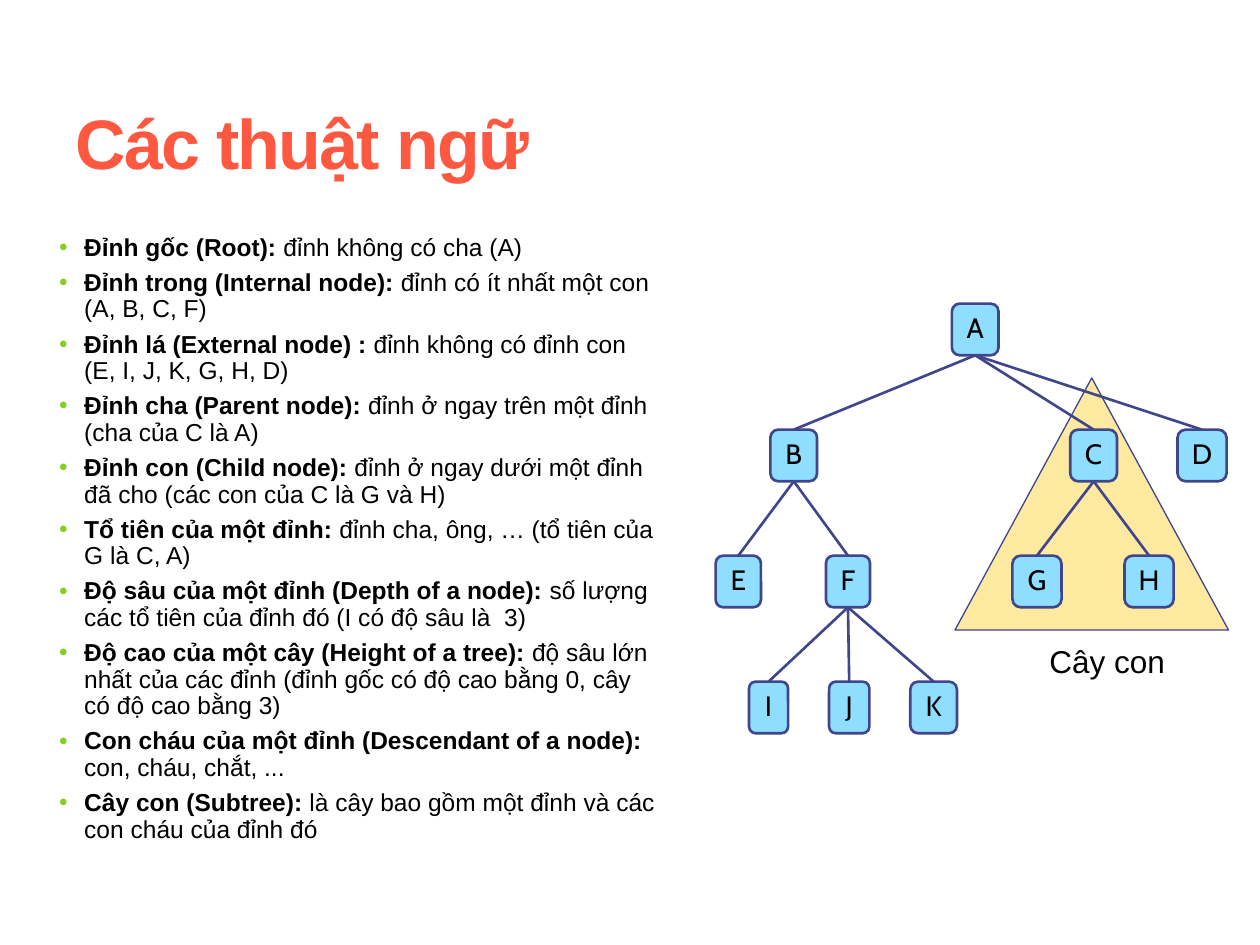
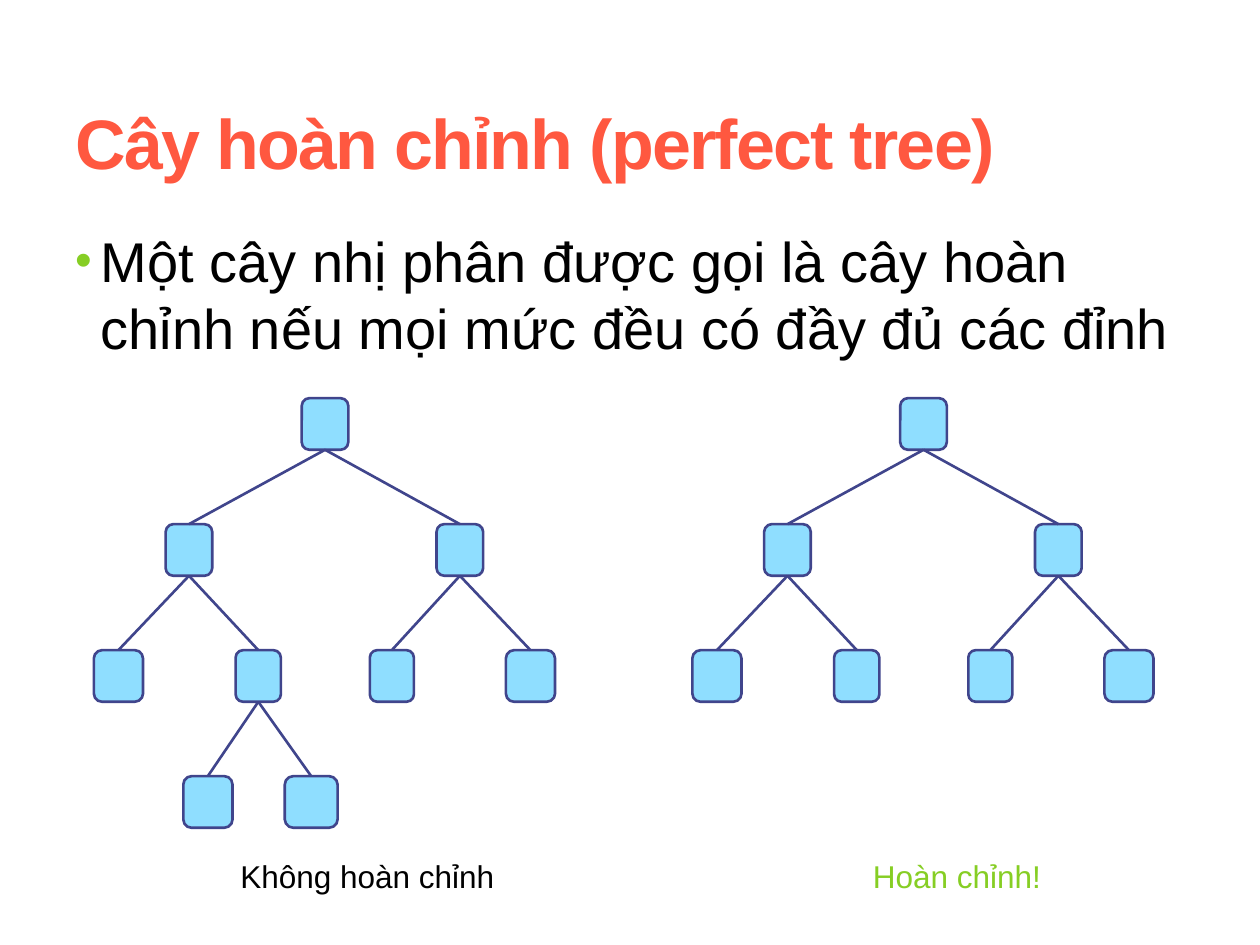
from lxml.etree import SubElement as Sub
from pptx import Presentation
from pptx.dml.color import RGBColor
from pptx.enum.shapes import MSO_CONNECTOR as Conn, MSO_SHAPE as Geo
from pptx.enum.text import MSO_ANCHOR as Anchor, MSO_AUTO_SIZE as Fit, PP_ALIGN as Align
from pptx.oxml.ns import qn
from pptx.util import Inches, Pt

# Shared look
RED, GREEN, BLACK = "FF5840", "86CE24", "000000"
SKY, NAVY, SAND = "8FDEFF", "40458C", "FDE99F"
SANS, ROUND = "Arial", "Cabin"

# The slide is a grid of 10 columns by 7.5 rows
COLS, ROWS = 10, 7.5
WIDE, HIGH = Inches(10), Inches(7.5)
NODE_H = 0.41
STEP = 1  # rows from one tree level to the next

TERMS = [
    ("Đỉnh gốc (Root): ", "đỉnh không có cha (A)"),
    ("Đỉnh trong (Internal node): ", "đỉnh có ít nhất một con (A, B, C, F)"),
    ("Đỉnh lá (External node) : ", "đỉnh không có đỉnh con (E, I, J, K, G, H, D)"),
    ("Đỉnh cha (Parent node): ", "đỉnh ở ngay trên một đỉnh (cha của C là A)"),
    ("Đỉnh con (Child node): ",
     "đỉnh ở ngay dưới một đỉnh đã cho (các con của C là G và H)"),
    ("Tổ tiên của một đỉnh: ", "đỉnh cha, ông, … (tổ tiên của G là C, A)"),
    ("Độ sâu của một đỉnh (Depth of a node): ",
     "số lượng các tổ tiên của đỉnh đó (I có độ sâu là  3)"),
    ("Độ cao của một cây (Height of a tree): ",
     "độ sâu lớn nhất của các đỉnh (đỉnh gốc có độ cao bằng 0, cây có độ cao bằng 3)"),
    ("Con cháu của một đỉnh (Descendant of a node): ", "con, cháu, chắt, ..."),
    ("Cây con (Subtree): ", "là cây bao gồm một đỉnh và các con cháu của đỉnh đó"),
]

# Tree nodes: name, parent, centre column, width; parents come first
NAMED = [
    ("A", None, 7.74, 0.37),
    ("B", "A", 6.3, 0.37), ("C", "A", 8.68, 0.37), ("D", "A", 9.54, 0.39),
    ("E", "B", 5.86, 0.36), ("F", "B", 6.73, 0.35),
    ("G", "C", 8.23, 0.39), ("H", "C", 9.12, 0.39),
    ("I", "F", 6.1, 0.31), ("J", "F", 6.74, 0.32), ("K", "F", 7.41, 0.37),
]
PERFECT = [
    ("root", None, 2.58, 0.37),
    ("left", "root", 1.5, 0.37), ("right", "root", 3.65, 0.37),
    ("leaf 1", "left", 0.94, 0.39), ("leaf 2", "left", 2.05, 0.36),
    ("leaf 3", "right", 3.11, 0.35), ("leaf 4", "right", 4.21, 0.39),
]
EXTRA = [("leaf 5", "leaf 2", 1.65, 0.39), ("leaf 6", "leaf 2", 2.47, 0.42)]


def rgb(code):
    return RGBColor.from_string(code)


def place(x, y, w, h):
    return (int(x * WIDE / COLS), int(y * HIGH / ROWS),
            int(w * WIDE / COLS), int(h * HIGH / ROWS))


def style(para, size, color=BLACK, face=SANS, bold=None):
    font = para.font
    font.size, font.name, font.bold = Pt(size), face, bold
    font.color.rgb = rgb(color)


def bullet(para, scale=100):
    props = para._p.get_or_add_pPr()
    props.set("marL", str(Inches(0.2)))
    props.set("indent", str(-Inches(0.2)))
    Sub(Sub(props, qn("a:buClr")), qn("a:srgbClr"), val=GREEN)
    Sub(props, qn("a:buSzPct"), val=str(scale * 1000))
    Sub(props, qn("a:buFont"), typeface=SANS)
    Sub(props, qn("a:buChar"), char="•")


def new_slide(deck, text):
    slide = deck.slides.add_slide(deck.slide_layouts[5])
    title = slide.shapes.title
    title.left, title.top, title.width, title.height = place(0.5, 0.58, 9, 1.08)
    frame = title.text_frame
    frame.text = text
    frame.auto_size, frame.vertical_anchor = Fit.NONE, Anchor.MIDDLE
    para = frame.paragraphs[0]
    para.alignment = Align.LEFT
    style(para, 40, RED, bold=True)
    para.font._rPr.set("spc", "-100")
    return slide


def text_box(slide, *spot):
    frame = slide.shapes.add_textbox(*place(*spot)).text_frame
    frame.word_wrap = True
    return frame


def caption(slide, text, x, y, w, color=BLACK):
    frame = text_box(slide, x, y, w, 0.4)
    frame.word_wrap, frame.auto_size = False, Fit.SHAPE_TO_FIT_TEXT
    frame.text = text
    style(frame.paragraphs[0], 18, color)


def shape(slide, kind, spot, fill, width):
    form = slide.shapes.add_shape(kind, *place(*spot))
    form.shadow.inherit = False
    form.fill.solid()
    form.fill.fore_color.rgb = rgb(fill)
    form.line.color.rgb, form.line.width = rgb(NAVY), Pt(width)
    return form


def node(slide, x, y, w, label):
    form = shape(slide, Geo.ROUNDED_RECTANGLE, (x - w / 2, y, w, NODE_H), SKY, 1.5)
    if label:
        frame = form.text_frame
        frame.margin_left = frame.margin_right = 0
        frame.margin_top = frame.margin_bottom = 0
        frame.word_wrap, frame.vertical_anchor = False, Anchor.MIDDLE
        frame.text = label
        para = frame.paragraphs[0]
        para.alignment, para.line_spacing = Align.CENTER, 0.93
        style(para, 16, face=ROUND)
    return form


def edge(slide, parent, child):
    line = slide.shapes.add_connector(Conn.STRAIGHT, 0, 0, 0, 0)
    line.begin_connect(parent, 2)
    line.end_connect(child, 0)
    line.line.color.rgb, line.line.width = rgb(NAVY), Pt(1.5)
    Sub(line._element.spPr, qn("a:effectLst"))


def tree(slide, nodes, top, shift=0, labels=False):
    level, forms = {None: -1}, {}
    for name, parent, x, w in nodes:
        level[name] = level[parent] + 1
        forms[name] = node(slide, x + shift, top + level[name] * STEP, w,
                           name if labels else "")
        if parent:
            edge(slide, forms[parent], forms[name])


def term_list(slide):
    frame = text_box(slide, 0.37, 1.81, 4.98, 5.44)
    for i, (term, sense) in enumerate(TERMS):
        para = frame.add_paragraph() if i else frame.paragraphs[0]
        bullet(para)
        para.line_spacing = 0.9 if i else 0.93
        para.space_before = Pt(5 if i else 0)
        style(para, 14)
        for text, bold in ((term, True), (sense, False)):
            run = para.add_run()
            run.text, run.font.bold = text, bold


def main():
    deck = Presentation()
    deck.slide_width, deck.slide_height = WIDE, HIGH

    # Terms, with the labelled tree and its subtree
    slide = new_slide(deck, "Các thuật ngữ")
    shape(slide, Geo.ISOSCELES_TRIANGLE, (7.58, 3, 2.17, 2), SAND, 0.75)
    term_list(slide)
    tree(slide, NAMED, 2.41, labels=True)
    caption(slide, "Cây con", 8.23, 5.05, 1.13)

    # Perfect tree: a counterexample beside an example
    slide = new_slide(deck, "Cây hoàn chỉnh (perfect tree)")
    frame = text_box(slide, 0.5, 1.75, 9, 1.25)
    frame.text = ("Một cây nhị phân được gọi là cây hoàn chỉnh "
                  "nếu mọi mức đều có đầy đủ các đỉnh")
    bullet(frame.paragraphs[0], 85)
    style(frame.paragraphs[0], 32)
    tree(slide, PERFECT + EXTRA, 3.16)
    tree(slide, PERFECT, 3.16, shift=4.75)
    caption(slide, "Không hoàn chỉnh", 1.81, 6.75, 2.24)
    caption(slide, "Hoàn chỉnh!", 6.83, 6.75, 1.55, GREEN)

    deck.save("out.pptx")


if __name__ == "__main__":
    main()
